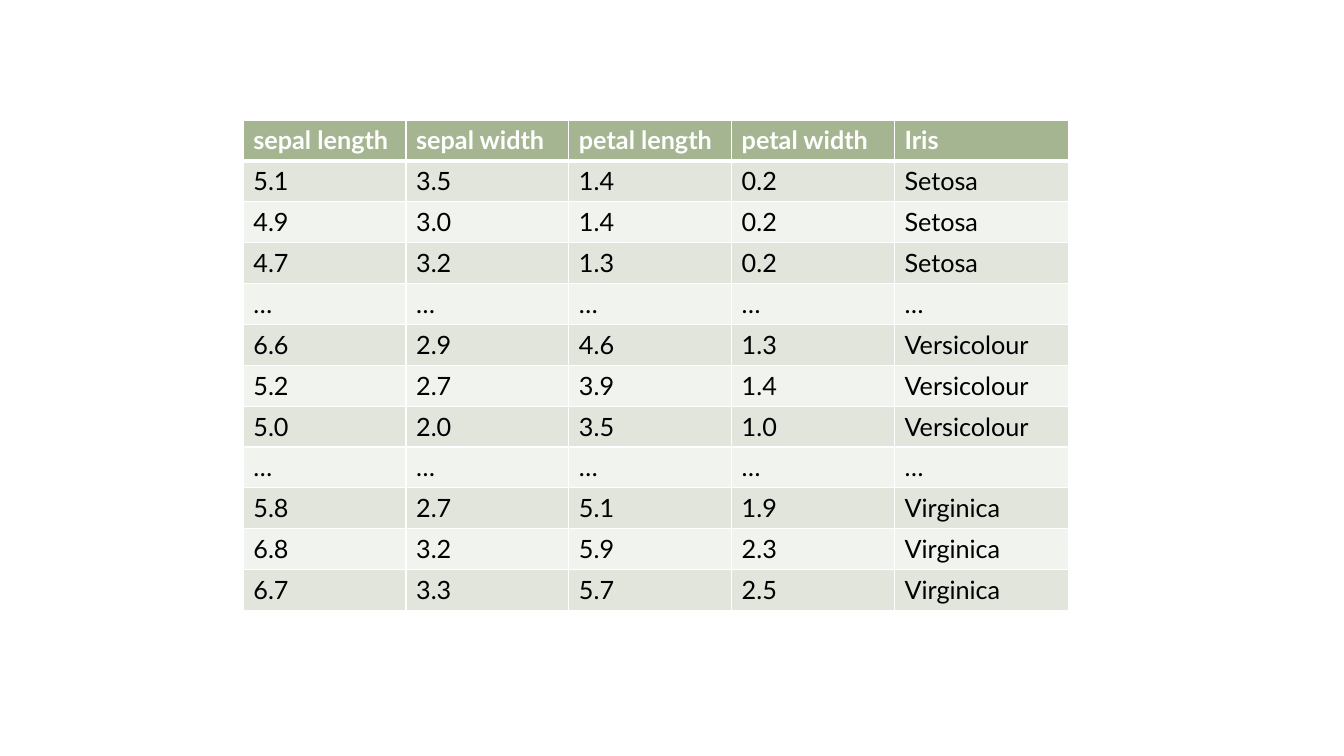
import dataclasses

import pptx
import pptx.dml.color
import pptx.oxml
import pptx.oxml.ns
import pptx.table
import pptx.util

COLORS = {
    "header": "A5B592",
    "odd": "E1E5DC",
    "even": "F0F3EE",
    "border": "FFFFFF",
    "header_text": "FFFFFF",
    "body_text": "000000",
}
FONT = "Lato"
TEXT_SIZE = 18
TABLE_LEFT, TABLE_TOP = 173.8, 85.7
COLUMN_WIDTHS = [116.3] * 4 + [124.4]
ROW_HEIGHT = 29.2
THIN, THICK = 1, 3


@dataclasses.dataclass(frozen=True)
class RowStyle:
    fill: str
    text: str
    bold: bool = False
    top: float = THIN
    bottom: float = THIN


HEADER = RowStyle("header", "header_text", bold=True, bottom=THICK)
FIRST = RowStyle("odd", "body_text", top=THICK)
ODD = RowStyle("odd", "body_text")
EVEN = RowStyle("even", "body_text")

GAP = ("…",) * 5
IRIS_ROWS = [
    ("sepal length", "sepal width", "petal length", "petal width", "Iris"),
    ("5.1", "3.5", "1.4", "0.2", "Setosa"),
    ("4.9", "3.0", "1.4", "0.2", "Setosa"),
    ("4.7", "3.2", "1.3", "0.2", "Setosa"),
    GAP,
    ("6.6", "2.9", "4.6", "1.3", "Versicolour"),
    ("5.2", "2.7", "3.9", "1.4", "Versicolour"),
    ("5.0", "2.0", "3.5", "1.0", "Versicolour"),
    GAP,
    ("5.8", "2.7", "5.1", "1.9", "Virginica"),
    ("6.8", "3.2", "5.9", "2.3", "Virginica"),
    ("6.7", "3.3", "5.7", "2.5", "Virginica"),
]


def rgb(name: str) -> pptx.dml.color.RGBColor:
    return pptx.dml.color.RGBColor.from_string(COLORS[name])


def row_style(index: int) -> RowStyle:
    if index < 2:
        return (HEADER, FIRST)[index]
    return ODD if index % 2 else EVEN


def add_border(cell: pptx.table._Cell, side: str, width: float) -> None:
    cell._tc.get_or_add_tcPr().append(pptx.oxml.parse_xml(
        f'<a:ln{side} {pptx.oxml.ns.nsdecls("a")} w="{pptx.util.Pt(width)}">'
        f'<a:solidFill><a:srgbClr val="{COLORS["border"]}"/></a:solidFill>'
        f'</a:ln{side}>'))


def draw_cell(cell: pptx.table._Cell, text: str, style: RowStyle) -> None:
    # Borders come before the fill in the cell properties
    for side, width in (("L", THIN), ("R", THIN),
                        ("T", style.top), ("B", style.bottom)):
        add_border(cell, side, width)
    cell.fill.solid()
    cell.fill.fore_color.rgb = rgb(style.fill)

    cell.text_frame.text = text
    font = cell.text_frame.paragraphs[0].runs[0].font
    font.name = FONT
    font.size = pptx.util.Pt(TEXT_SIZE)
    font.bold = style.bold
    font.color.rgb = rgb(style.text)


def main() -> None:
    # Slide
    deck = pptx.Presentation()
    deck.slide_width = pptx.util.Pt(960)
    deck.slide_height = pptx.util.Pt(540)
    slide = deck.slides.add_slide(deck.slide_layouts[6])

    # Iris measurements
    iris = slide.shapes.add_table(
        len(IRIS_ROWS), len(COLUMN_WIDTHS),
        pptx.util.Pt(TABLE_LEFT), pptx.util.Pt(TABLE_TOP),
        pptx.util.Pt(sum(COLUMN_WIDTHS)),
        pptx.util.Pt(ROW_HEIGHT * len(IRIS_ROWS))).table
    for column, width in zip(iris.columns, COLUMN_WIDTHS):
        column.width = pptx.util.Pt(width)
    for index, (row, values) in enumerate(zip(iris.rows, IRIS_ROWS)):
        row.height = pptx.util.Pt(ROW_HEIGHT)
        for cell, value in zip(row.cells, values):
            draw_cell(cell, value, row_style(index))

    deck.save("out.pptx")


if __name__ == "__main__":
    main()
